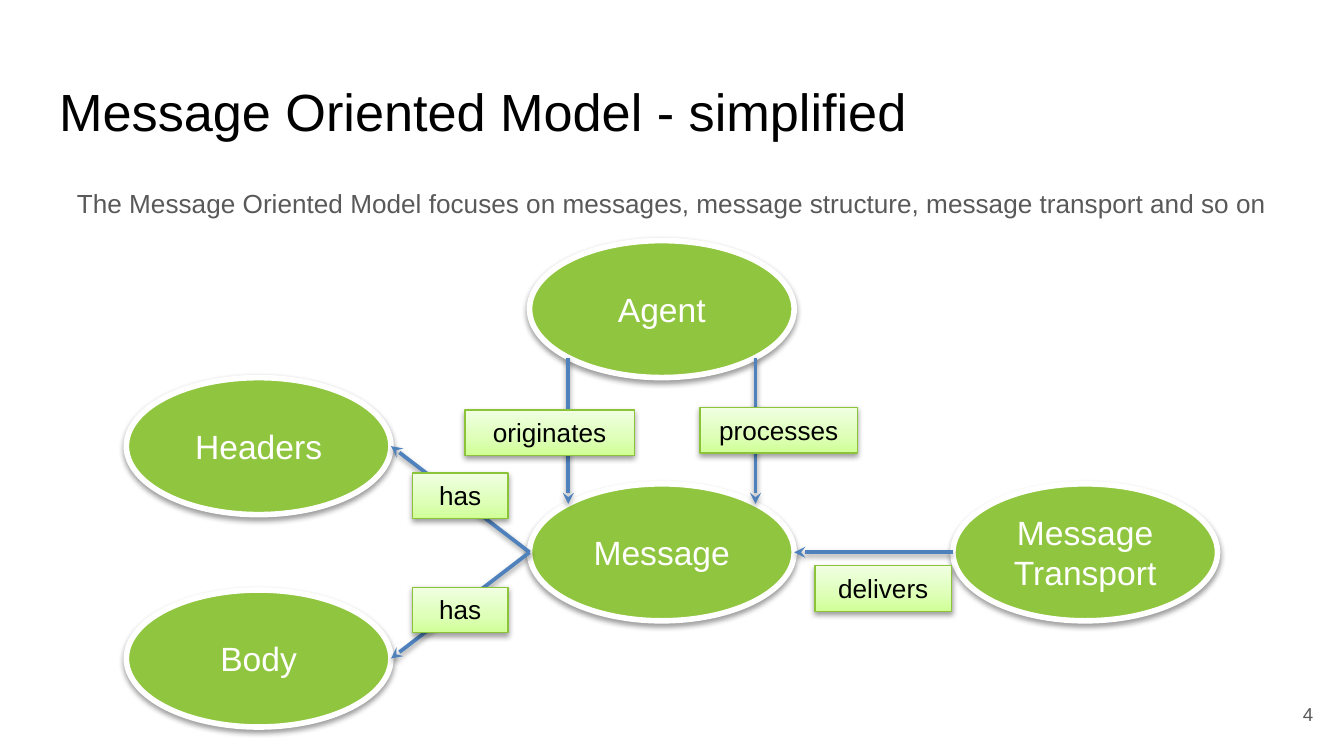
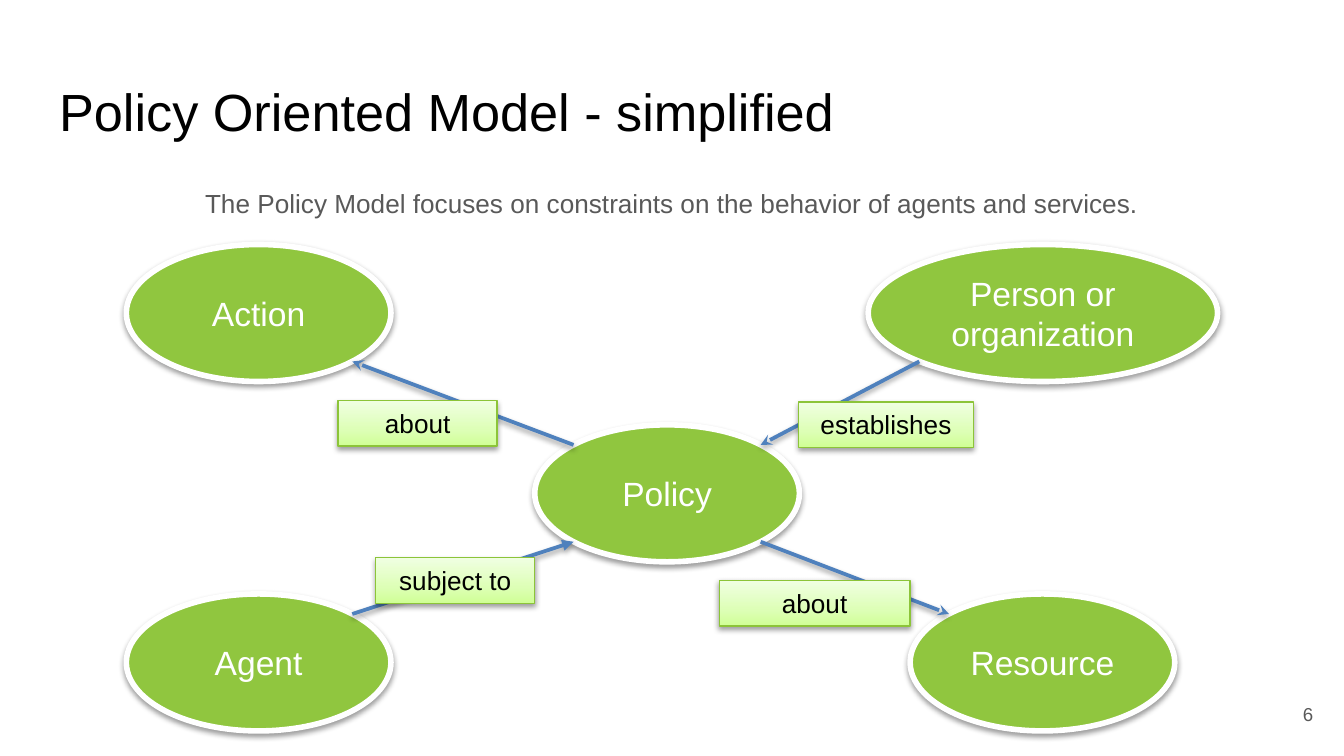
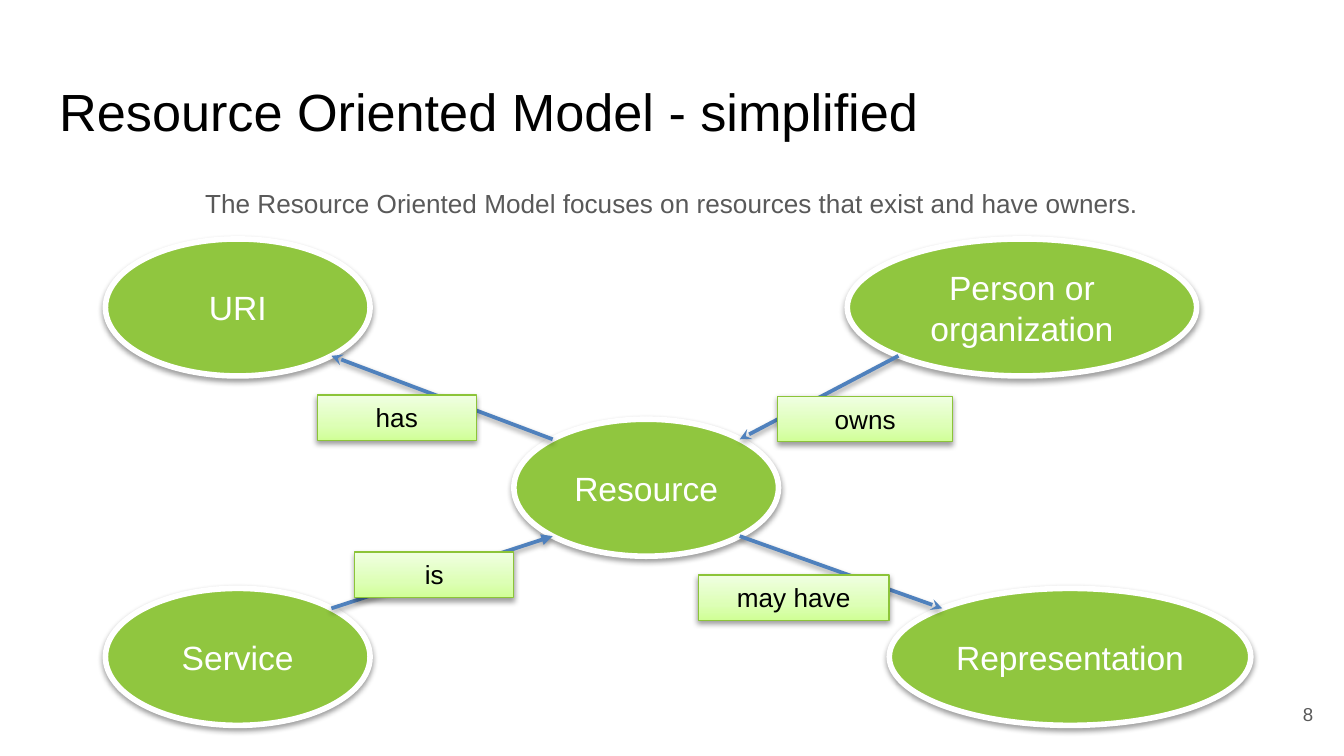
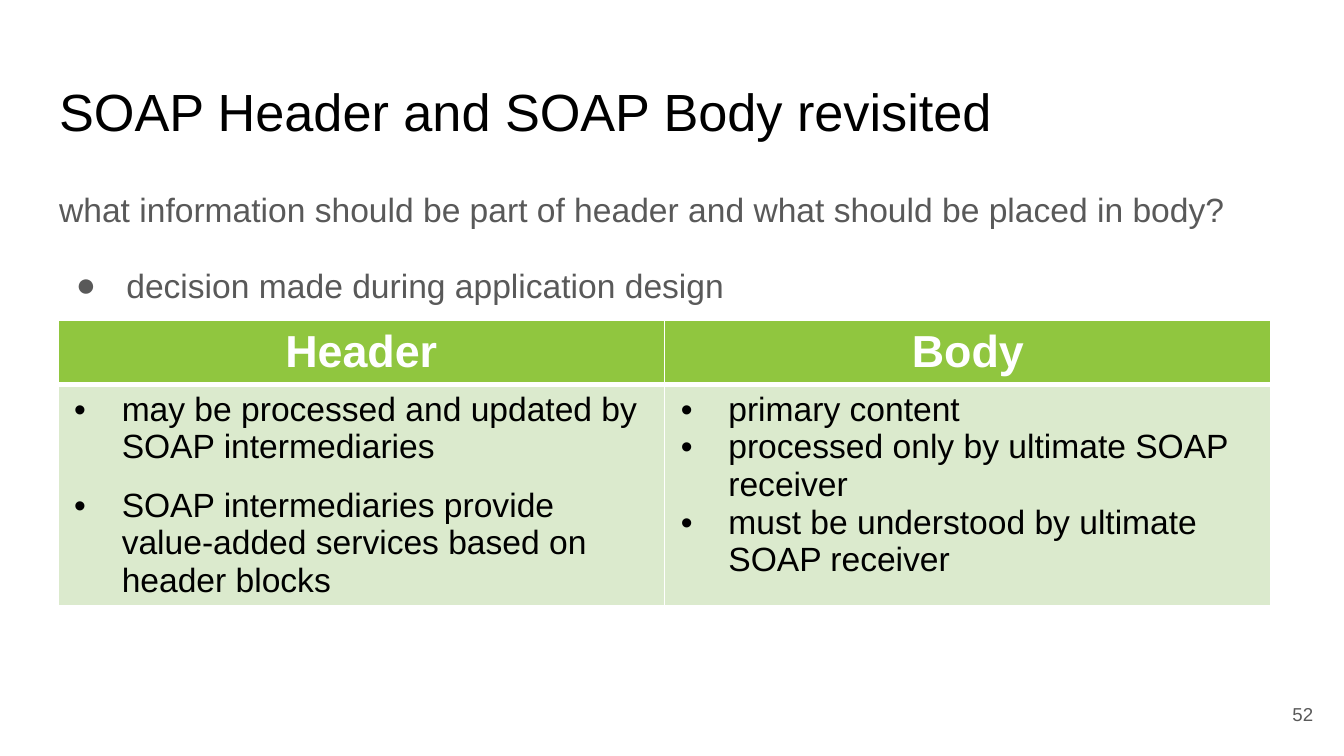
"""Build four slides on web service architecture models and SOAP."""
import pptx
import pptx.dml.color
import pptx.enum.shapes
import pptx.enum.text
import pptx.oxml.ns
import pptx.util
from lxml import etree

Pt = pptx.util.Pt
RGBColor = pptx.dml.color.RGBColor
Align = pptx.enum.text.PP_ALIGN
Anchor = pptx.enum.text.MSO_ANCHOR
Shape = pptx.enum.shapes.MSO_SHAPE
qn = pptx.oxml.ns.qn

BLACK = RGBColor(0x00, 0x00, 0x00)
WHITE = RGBColor(0xFF, 0xFF, 0xFF)
GRAY = RGBColor(0x59, 0x59, 0x59)
GREEN = RGBColor(0x90, 0xC6, 0x3F)
LABEL_LINE = RGBColor(0x8C, 0xC4, 0x39)
ARROW_BLUE = RGBColor(0x4F, 0x81, 0xBD)
CELL_GREEN = RGBColor(0xDB, 0xEA, 0xCD)
LABEL_STOPS = (
    (0, RGBColor(0xD0, 0xFF, 0x96)),
    (35, RGBColor(0xDD, 0xFF, 0xB6)),
    (100, RGBColor(0xF0, 0xFF, 0xE2)),
)

NODE_WIDTH, NODE_HEIGHT = 141.8, 73.4
LABEL_HEIGHT = 24.4
CORNER = (1 - 0.5 ** 0.5) / 2
SITES = {
    "left": (0, 0.5),
    "right": (1, 0.5),
    "top left": (CORNER, CORNER),
    "top right": (1 - CORNER, CORNER),
    "bottom left": (CORNER, 1 - CORNER),
    "bottom right": (1 - CORNER, 1 - CORNER),
}


def set_values(target, values):
    for name, value in values.items():
        setattr(target, name, value)


def add_element(parent, tag, **attributes):
    element = etree.SubElement(parent, qn(tag))
    for name, value in attributes.items():
        element.set(name, str(value))
    return element


def add_solid(parent, color):
    add_element(add_element(parent, "a:solidFill"), "a:srgbClr", val=color)


def site_point(node, site):
    across, down = SITES[site]
    return round(node.left + across * node.width), round(node.top + down * node.height)


class SlideBuilder:
    """Hold the shared style and the current slide."""

    font = "Arial"

    def __init__(self):
        self.deck = pptx.Presentation()
        set_values(self.deck, {"slide_width": Pt(720), "slide_height": Pt(405)})
        self.page = None

    def start(self, title, number):
        self.page = self.deck.slides.add_slide(self.deck.slide_layouts[1])
        heading = self.page.shapes.title
        self.place(heading, 24.5, 35.3, 671, 45.4)
        self.set_text(heading.text_frame, [title], 28, BLACK)
        box = self.page.shapes.add_textbox(Pt(667.4), Pt(367.2), Pt(43.2), Pt(31))
        self.set_text(box.text_frame, [number], 10, GRAY, Align.RIGHT, Anchor.MIDDLE)

    def place(self, shape, left, top, width, height):
        set_values(shape, {"left": Pt(left), "top": Pt(top),
                           "width": Pt(width), "height": Pt(height)})

    def set_text(self, frame, lines, size, color, align=Align.LEFT, anchor=Anchor.TOP, inset=7.2):
        set_values(frame, {
            "text": "\n".join(lines),
            "word_wrap": True,
            "auto_size": pptx.enum.text.MSO_AUTO_SIZE.NONE,
            "vertical_anchor": anchor,
            "margin_left": Pt(7.2),
            "margin_right": Pt(7.2),
            "margin_top": Pt(inset),
            "margin_bottom": Pt(inset),
        })
        for para in frame.paragraphs:
            self.style(para, size, color, align)

    def style(self, para, size, color, align=Align.LEFT, bold=False):
        set_values(para, {"alignment": align, "space_before": Pt(0)})
        for span in para.runs:
            set_values(span.font, {"name": self.font, "size": Pt(size), "bold": bold})
            span.font.color.rgb = color

    def bullet(self, para, mark, color, margin, hanging):
        properties = para._p.get_or_add_pPr()
        properties.set("marL", str(Pt(margin)))
        properties.set("indent", str(-Pt(hanging)))
        if mark:
            add_element(add_element(properties, "a:buClr"), "a:srgbClr", val=color)
            add_element(properties, "a:buFont", typeface=self.font)
            add_element(properties, "a:buChar", char=mark)
        else:
            add_element(properties, "a:buNone")

    def body(self, lines, size, height, align=Align.LEFT):
        holder = self.page.placeholders[1]
        self.place(holder, 24.5, 90.7, 671, height)
        self.set_text(holder.text_frame, lines, size, GRAY, align)
        for index, para in enumerate(holder.text_frame.paragraphs):
            para.line_spacing = 1.15
            if index:
                self.bullet(para, "●", GRAY, 36, 27)
                para.space_before = Pt(16)
            else:
                self.bullet(para, None, GRAY, 0, 0)

    def shadow(self, effects):
        cast = add_element(effects, "a:outerShdw", blurRad=Pt(3.1), dist=Pt(1.6),
                           dir=5400000, rotWithShape=0)
        tint = add_element(cast, "a:srgbClr", val=BLACK)
        add_element(tint, "a:alpha", val=38000)

    def shape(self, kind, frame, line, width):
        shape = self.page.shapes.add_shape(kind, *(Pt(length) for length in frame))
        shape.line.color.rgb = line
        shape.line.width = Pt(width)
        shape.shadow.inherit = False
        self.shadow(shape.element.spPr.find(qn("a:effectLst")))
        return shape

    def node(self, text, left, top, width=NODE_WIDTH):
        node = self.shape(Shape.OVAL, (left, top, width, NODE_HEIGHT), WHITE, 3)
        node.fill.solid()
        node.fill.fore_color.rgb = GREEN
        self.set_text(node.text_frame, text.split("\n"), 18, WHITE,
                      Align.CENTER, Anchor.MIDDLE, 3.6)
        return node

    def label(self, text, left, top, width):
        label = self.shape(Shape.RECTANGLE, (left, top, width, LABEL_HEIGHT), LABEL_LINE, 0.75)
        label.fill.gradient()
        label.fill.gradient_angle = 90
        stops = label.element.spPr.find(qn("a:gradFill")).find(qn("a:gsLst"))
        for stop in list(stops):
            stops.remove(stop)
        for position, color in LABEL_STOPS:
            stop = add_element(stops, "a:gs", pos=position * 1000)
            add_element(stop, "a:srgbClr", val=color)
        self.set_text(label.text_frame, [text], 14, BLACK, Align.CENTER, inset=3.6)

    def arrow(self, source, source_site, target, target_site, head="stealth"):
        arrow = self.page.shapes.add_connector(
            pptx.enum.shapes.MSO_CONNECTOR.STRAIGHT,
            *site_point(source, source_site), *site_point(target, target_site))
        arrow.line.color.rgb = ARROW_BLUE
        arrow.line.width = Pt(2)
        properties = arrow.element.spPr
        add_element(properties.find(qn("a:ln")), "a:tailEnd", type=head)
        self.shadow(add_element(properties, "a:effectLst"))

    def cell(self, cell, lines, fill, borders):
        properties = cell._tc.get_or_add_tcPr()
        for side, width in borders.items():
            add_solid(add_element(properties, f"a:ln{side}", w=Pt(width)), WHITE)
        cell.fill.solid()
        cell.fill.fore_color.rgb = fill
        set_values(cell, {"margin_left": Pt(7.2), "margin_right": Pt(7.2),
                          "margin_top": Pt(3.6), "margin_bottom": Pt(3.6)})
        cell.text_frame.text = "\n".join(lines)

    def table(self, headings, columns, gaps):
        frame = self.page.shapes.add_table(2, len(headings), Pt(31), Pt(171.8), Pt(650), Pt(152))
        table = frame.table
        set_values(table, {"first_row": False, "horz_banding": False})
        for row, height in zip(table.rows, (33, 119)):
            row.height = Pt(height)
        for index, (heading, lines, gap) in enumerate(zip(headings, columns, gaps)):
            top, bottom = table.cell(0, index), table.cell(1, index)
            self.cell(top, [heading], GREEN, {"L": 1, "R": 1, "T": 1, "B": 3})
            self.style(top.text_frame.paragraphs[0], 24, WHITE, Align.CENTER, True)
            self.cell(bottom, lines, CELL_GREEN, {"L": 1, "R": 1, "T": 3, "B": 1})
            for order, para in enumerate(bottom.text_frame.paragraphs):
                self.bullet(para, "•", BLACK, 27, 25.5)
                self.style(para, 18, BLACK)
                if order:
                    para.space_before = Pt(gap)


def message_slide(builder):
    builder.start("Message Oriented Model - simplified", "4")
    builder.body(["The Message Oriented Model focuses on messages, message structure, "
                  "message transport and so on"], 14, 31, Align.CENTER)
    body = builder.node("Body", 67.7, 316.1)
    message = builder.node("Message", 283.7, 259.2)
    transport = builder.node("Message\nTransport", 510.5, 259.2)
    headers = builder.node("Headers", 67.7, 202.3)
    agent = builder.node("Agent", 283.7, 128.9)
    for part in (headers, body):
        builder.arrow(message, "left", part, "right")
    builder.arrow(transport, "left", message, "right")
    for side in ("left", "right"):
        builder.arrow(agent, f"bottom {side}", message, f"top {side}")
    for label in (("originates", 249.1, 219.6, 90.7), ("processes", 375.1, 218.2, 84.2),
                  ("delivers", 436.5, 303.1, 73.4), ("has", 221, 253.4, 51.1),
                  ("has", 221, 314.6, 51.1)):
        builder.label(*label)


def hub_slide(builder, title, number, summary, names, labels, shift=(0, 0), last_width=NODE_WIDTH):
    builder.start(title, number)
    builder.body([summary], 14, 31, Align.CENTER)
    right, down = shift
    spots = ((67.7, 318.2, NODE_WIDTH), (286.5, 227.6, NODE_WIDTH), (465.1, 131, 187.2),
             (67.7, 131, NODE_WIDTH), (487.6, 318.2, last_width))
    lower_left, hub, upper_right, upper_left, lower_right = (
        builder.node(name, left + right, top + down, width)
        for name, (left, top, width) in zip(names, spots))
    builder.arrow(hub, "top left", upper_left, "bottom right")
    builder.arrow(lower_left, "top right", hub, "bottom left", "triangle")
    builder.arrow(upper_right, "bottom left", hub, "top right")
    builder.arrow(hub, "bottom right", lower_right, "top left")
    label_spots = ((385.3, 311, 102.2), (427.9, 215.3, 93.6),
                   (181.2, 214.6, 85.2), (201.3, 298.8, 85.2))
    for text, (left, top, width) in zip(labels, label_spots):
        builder.label(text, left + right, top + down, width)


def soap_slide(builder):
    builder.start("SOAP Header and SOAP Body revisited", "52")
    builder.body(["what information should be part of header and what should be placed in body?",
                  "decision made during application design"], 18, 80.6)
    builder.table(
        ("Header", "Body"),
        (("may be processed and updated by SOAP intermediaries",
          "SOAP intermediaries provide value-added services based on header blocks"),
         ("primary content", "processed only by ultimate SOAP receiver",
          "must be understood by ultimate SOAP receiver")),
        (11, 0))


def main():
    builder = SlideBuilder()
    message_slide(builder)
    hub_slide(builder, "Policy Oriented Model - simplified", "6",
              "The Policy Model focuses on constraints on the behavior of agents and services.",
              ("Agent", "Policy", "Person or organization", "Action", "Resource"),
              ("about", "establishes", "about", "subject to"))
    hub_slide(builder, "Resource Oriented Model - simplified", "8",
              "The Resource Oriented Model focuses on resources that exist and have owners.",
              ("Service", "Resource", "Person or organization", "URI", "Representation"),
              ("may have", "owns", "has", "is"), (-11.2, -3), 193.7)
    soap_slide(builder)
    builder.deck.save("out.pptx")


if __name__ == "__main__":
    main()
